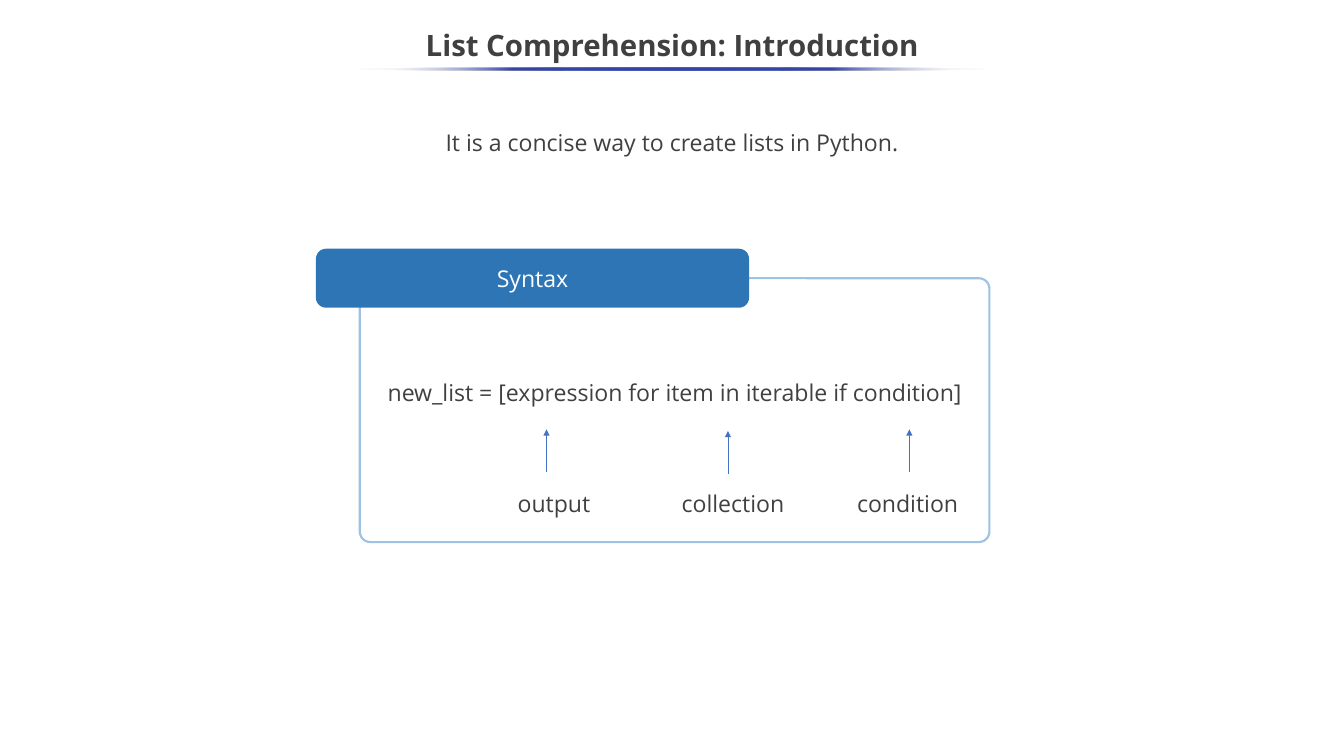
from dataclasses import dataclass

from lxml import etree
from pptx import Presentation
from pptx.dml.color import RGBColor
from pptx.enum.shapes import MSO_CONNECTOR, MSO_SHAPE
from pptx.enum.text import MSO_ANCHOR, PP_ALIGN
from pptx.oxml.ns import qn
from pptx.util import Pt

LEFT, CENTER = PP_ALIGN.LEFT, PP_ALIGN.CENTER
TOP, MIDDLE = MSO_ANCHOR.TOP, MSO_ANCHOR.MIDDLE
ELLIPSE, ROUNDED = MSO_SHAPE.OVAL, MSO_SHAPE.ROUNDED_RECTANGLE
STRAIGHT = MSO_CONNECTOR.STRAIGHT


@dataclass(frozen=True)
class Theme:
    font: str = "Open Sans"
    ink: str = "404040"
    paper: str = "FFFFFF"
    rule: str = "3645A9"
    tab: str = "2E75B5"
    border: str = "9CC2E5"
    arrow: str = "4472C4"
    title_size: float = 28
    text_size: float = 22


THEME = Theme()
PAGE_WIDTH, PAGE_HEIGHT = 1280.16, 720

# caption, left edge of the caption, caption width, drop of the arrow
PARTS = [
    ("output", 143.28, 93.6, 0),
    ("collection", 299.52, 114.48, 1.44),
    ("condition", 466.56, 114.48, 0),
]
FIRST_ARROW, ARROW_STEP = 177.84, 172.8
ARROW_TOP, ARROW_LENGTH = 144, 41.04
CAPTION_TOP, LINE_HEIGHT = 193.68, 38.16


def color(code):
    return RGBColor.from_string(code)


def write(shape, text, size=THEME.text_size, ink=THEME.ink, bold=False,
          align=LEFT, anchor=TOP, spacing=1.15, inset=3.6):
    frame = shape.text_frame
    frame.word_wrap = True
    frame.vertical_anchor = anchor
    frame.margin_left = frame.margin_right = Pt(7.2)
    frame.margin_top = frame.margin_bottom = Pt(inset)
    para = frame.paragraphs[0]
    para.alignment = align
    para.line_spacing = spacing
    span = para.add_run()
    span.text = text
    span.font.name = THEME.font
    span.font.size = Pt(size)
    span.font.bold = bold
    span.font.color.rgb = color(ink)


def add_text(page, box, text, **style):
    write(page.shapes.add_textbox(*map(Pt, box)), text, **style)


def add_plain_shape(page, kind, box):
    """Add a shape with no shadow, fill or line."""
    shape = page.shapes.add_shape(kind, *map(Pt, box))
    shape.shadow.inherit = False
    shape.fill.background()
    shape.line.fill.background()
    return shape


def fade_ends(shape):
    """Fill a shape with a band of colour that fades out on both sides."""
    shape.fill.gradient()
    shape.fill.gradient_angle = 0
    stops = shape._element.spPr.find(qn("a:gradFill")).find(qn("a:gsLst"))
    for stop in list(stops):
        stops.remove(stop)
    for percent in range(0, 101, 25):
        at_end = percent in (0, 100)
        stop = etree.SubElement(stops, qn("a:gs"), pos=str(percent * 1000))
        tone = etree.SubElement(stop, qn("a:srgbClr"),
                                val=THEME.paper if at_end else THEME.rule)
        if at_end:
            etree.SubElement(tone, qn("a:alpha"), val="0")


def add_arrow(page, x, bottom, top):
    arrow = page.shapes.add_connector(STRAIGHT, Pt(x), Pt(bottom), Pt(x), Pt(top))
    arrow.line.color.rgb = color(THEME.arrow)
    arrow.line.width = Pt(0.5)
    etree.SubElement(arrow.line._get_or_add_ln(), qn("a:tailEnd"), type="triangle")
    etree.SubElement(arrow._element.spPr, qn("a:effectLst"))


def add_heading(page, box):
    left, top, width, height = box
    add_text(page, box, "List Comprehension: Introduction", size=THEME.title_size,
             bold=True, align=CENTER, anchor=MIDDLE, spacing=0.9)
    rule_width = 604.08
    rule_left = left + (width - rule_width) / 2
    fade_ends(add_plain_shape(page, ELLIPSE, (rule_left, top + 46.08, rule_width, 2.88)))


def add_syntax_panel(page, box):
    """Add the outlined panel, its tab, the code line and the captions."""
    left, top, width, height = box
    panel = add_plain_shape(page, ROUNDED, box)
    panel.adjustments[0] = 0.04
    panel.line.color.rgb = color(THEME.border)
    panel.line.width = Pt(2)

    tab = add_plain_shape(page, ROUNDED, (left - 41.76, top - 28.08, 412.56, 56.16))
    tab.adjustments[0] = 0.17
    tab.fill.solid()
    tab.fill.fore_color.rgb = color(THEME.tab)
    write(tab, "Syntax", ink=THEME.paper, align=CENTER, anchor=MIDDLE, spacing=1.0)

    add_text(page, (left + 19.44, top + 87.84, 576, LINE_HEIGHT),
             "new_list = [expression for item in iterable if condition]")
    for index, (caption, offset, caption_width, drop) in enumerate(PARTS):
        tip = top + ARROW_TOP + drop
        add_arrow(page, left + FIRST_ARROW + index * ARROW_STEP, tip + ARROW_LENGTH, tip)
        add_text(page, (left + offset, top + CAPTION_TOP, caption_width, LINE_HEIGHT), caption)


def main():
    deck = Presentation()
    deck.slide_width, deck.slide_height = Pt(PAGE_WIDTH), Pt(PAGE_HEIGHT)
    page = deck.slides.add_slide(deck.slide_layouts[6])
    add_text(page, (100.8, 118.8, 1078.56, 71.28),
             "It is a concise way to create lists in Python.",
             align=CENTER, spacing=1.14, inset=0)
    add_heading(page, (0, 18, PAGE_WIDTH, 54))
    add_syntax_panel(page, (342.72, 264.96, 599.76, 251.28))
    deck.save("out.pptx")


if __name__ == "__main__":
    main()
